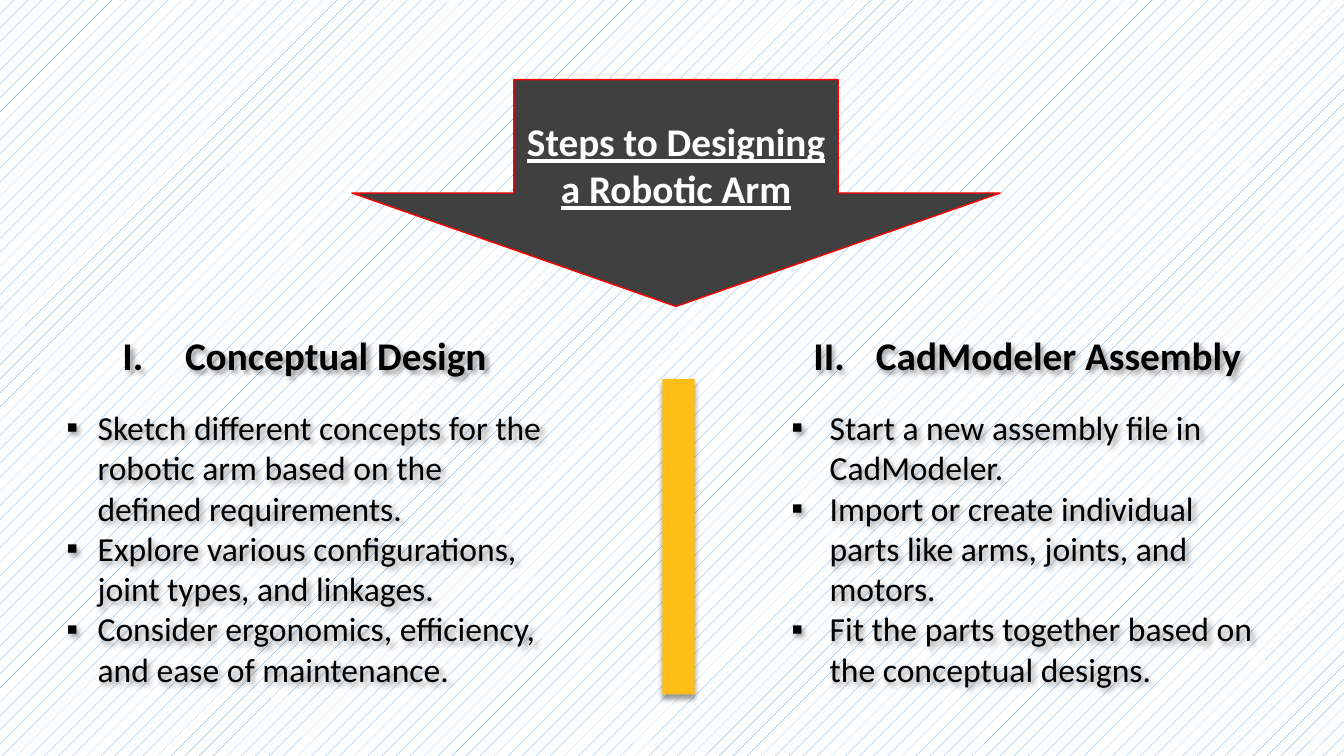
from lxml.etree import SubElement
from pptx import Presentation
from pptx.dml.color import RGBColor
from pptx.enum.dml import MSO_PATTERN
from pptx.enum.shapes import MSO_SHAPE
from pptx.enum.text import MSO_ANCHOR, PP_ALIGN
from pptx.oxml.ns import qn
from pptx.util import Inches, Pt

BLACK = RGBColor(0x00, 0x00, 0x00)
WHITE = RGBColor(0xFF, 0xFF, 0xFF)
BLUE = RGBColor(0x5B, 0x9B, 0xD5)
GREY = RGBColor(0x40, 0x40, 0x40)
RED = RGBColor(0xFF, 0x00, 0x00)
YELLOW = RGBColor(0xFD, 0xBE, 0x17)

prs = Presentation()
prs.slide_width, prs.slide_height = Inches(13.33), Inches(7.5)
COL, ROW = prs.slide_width / 100, prs.slide_height / 100
s = prs.slides.add_slide(prs.slide_layouts[6])
bg = s.background.fill
bg.patterned()
bg.pattern = MSO_PATTERN.PERCENT_5
bg.fore_color.rgb = BLUE
bg.back_color.rgb = WHITE


def add_run(p, text, size, color, bold=False):
    r = p.add_run()
    r.text = text
    r.font.name = "Calibri"
    r.font.size = Pt(size)
    r.font.bold = bold
    r.font.color.rgb = color
    return r


def add_shadow(sp, angle):
    sp.shadow.inherit = False
    effects = sp._element.spPr.find(qn("a:effectLst"))
    shadow = SubElement(effects, qn("a:outerShdw"), blurRad=str(Pt(4)), dist=str(Pt(3)),
                        dir=str(angle * 60000), algn="tl", rotWithShape="0")
    color = SubElement(shadow, qn("a:srgbClr"), val="000000")
    SubElement(color, qn("a:alpha"), val="40000")


arrow = s.shapes.add_shape(MSO_SHAPE.DOWN_ARROW, int(26.18 * COL), int(10.53 * ROW),
                           int(48.24 * COL), int(30 * ROW))
arrow.shadow.inherit = False
arrow.fill.solid()
arrow.fill.fore_color.rgb = GREY
arrow.line.color.rgb = RED
arrow.line.width = Pt(1)
tf = arrow.text_frame
tf.word_wrap = True
tf.vertical_anchor = MSO_ANCHOR.MIDDLE
p = tf.paragraphs[0]
p.alignment = PP_ALIGN.CENTER
add_run(p, "Steps to Designing a Robotic Arm", 28, WHITE, True).font.underline = True

concepts = [
    "Sketch different concepts for the robotic arm based on the defined requirements.",
    "Explore various configurations, joint types, and linkages.",
    "Consider ergonomics, efficiency, and ease of maintenance.",
]
assembly = [
    "Start a new assembly file in CadModeler.",
    "Import or create individual parts like arms, joints, and motors.",
    "Fit the parts together based on the conceptual designs.",
]
LIST_BOX, HEAD_TOP, HEAD_HEIGHT = (53.07, 36.91, 38.8), 43.8, 6.27
blocks = [
    (7.5, HEAD_TOP, 30.31, HEAD_HEIGHT, ["Conceptual Design"], 1, 0.62, PP_ALIGN.CENTER),
    (4.2, *LIST_BOX, concepts, None, 0.31, PP_ALIGN.LEFT),
    (59.79, HEAD_TOP, 33.61, HEAD_HEIGHT, ["CadModeler Assembly"], 2, 0.62, PP_ALIGN.LEFT),
    (58.14, *LIST_BOX, assembly, None, 0.38, PP_ALIGN.LEFT),
]
for x, y, w, h, lines, number, indent, align in blocks:
    sp = s.shapes.add_textbox(int(x * COL), int(y * ROW), int(w * COL), int(h * ROW))
    add_shadow(sp, 45)
    tf = sp.text_frame
    tf.word_wrap = True
    tf.vertical_anchor = MSO_ANCHOR.MIDDLE
    for i, line in enumerate(lines):
        p = tf.add_paragraph() if i else tf.paragraphs[0]
        p.alignment = align
        pPr = p._p.get_or_add_pPr()
        pPr.set("marL", str(Inches(indent)))
        pPr.set("indent", str(-Inches(indent)))
        if number:
            SubElement(pPr, qn("a:buFont"), typeface="+mj-lt")
            SubElement(pPr, qn("a:buAutoNum"), type="romanUcPeriod", startAt=str(number))
        else:
            SubElement(pPr, qn("a:buFont"), typeface="Arial")
            SubElement(pPr, qn("a:buChar"), char="▪")
        add_run(p, line, 28 if number else 24, BLACK, bool(number))

bar = s.shapes.add_shape(MSO_SHAPE.RECTANGLE, int(49.29 * COL), int(50.13 * ROW),
                         int(2.4 * COL), int(41.73 * ROW))
bar.fill.solid()
bar.fill.fore_color.rgb = YELLOW
bar.line.fill.background()
add_shadow(bar, 90)

prs.save("out.pptx")
